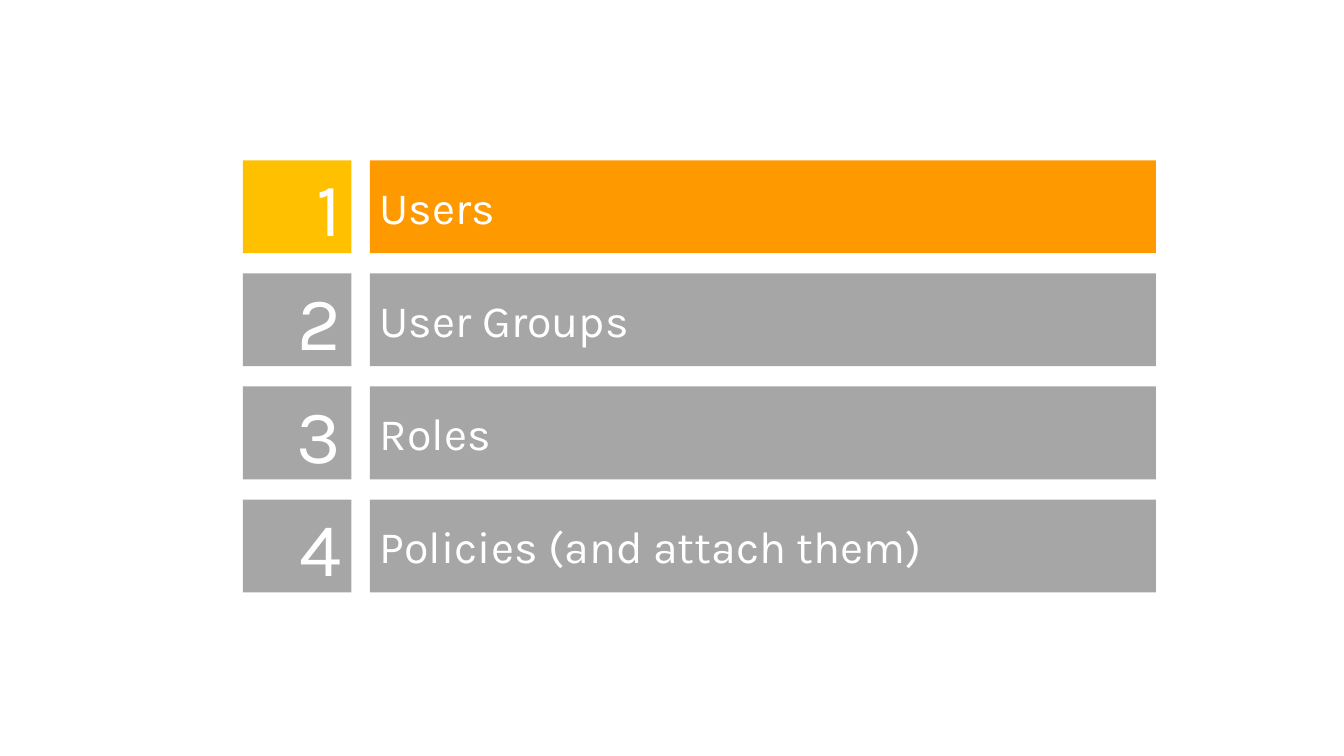
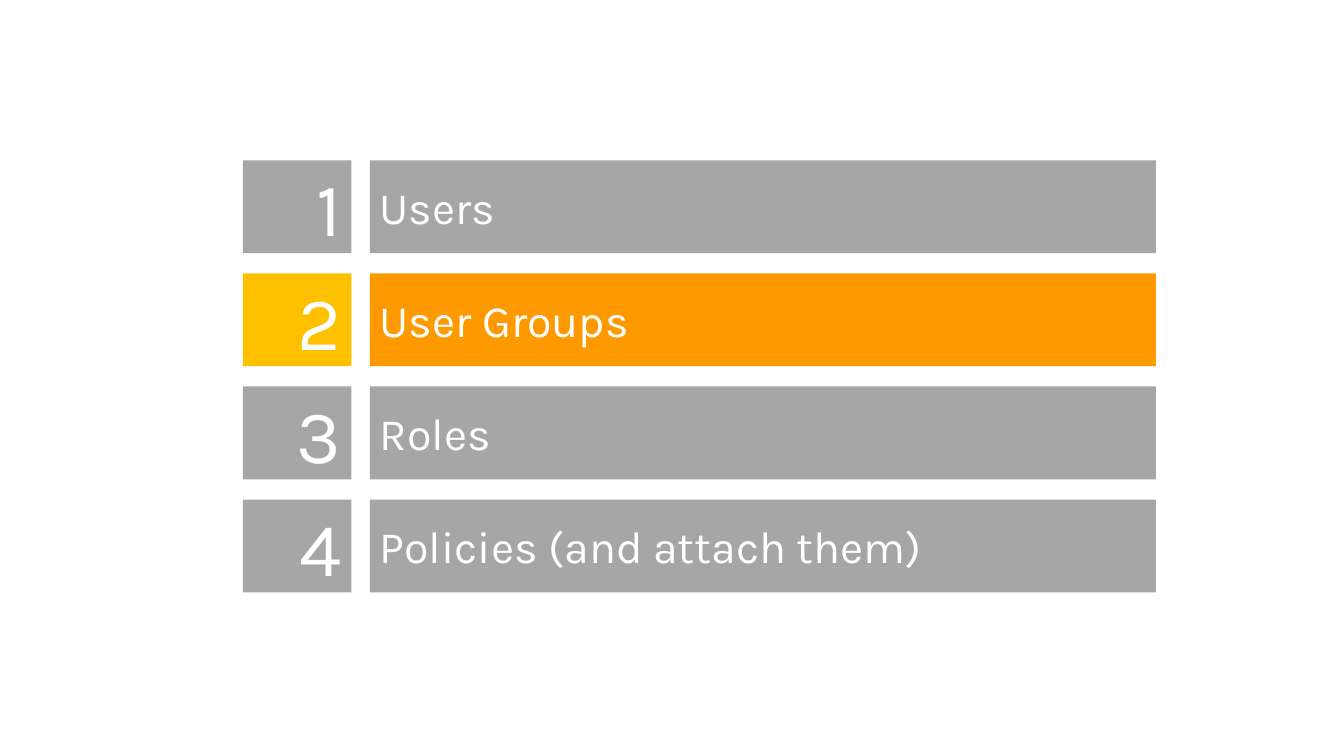
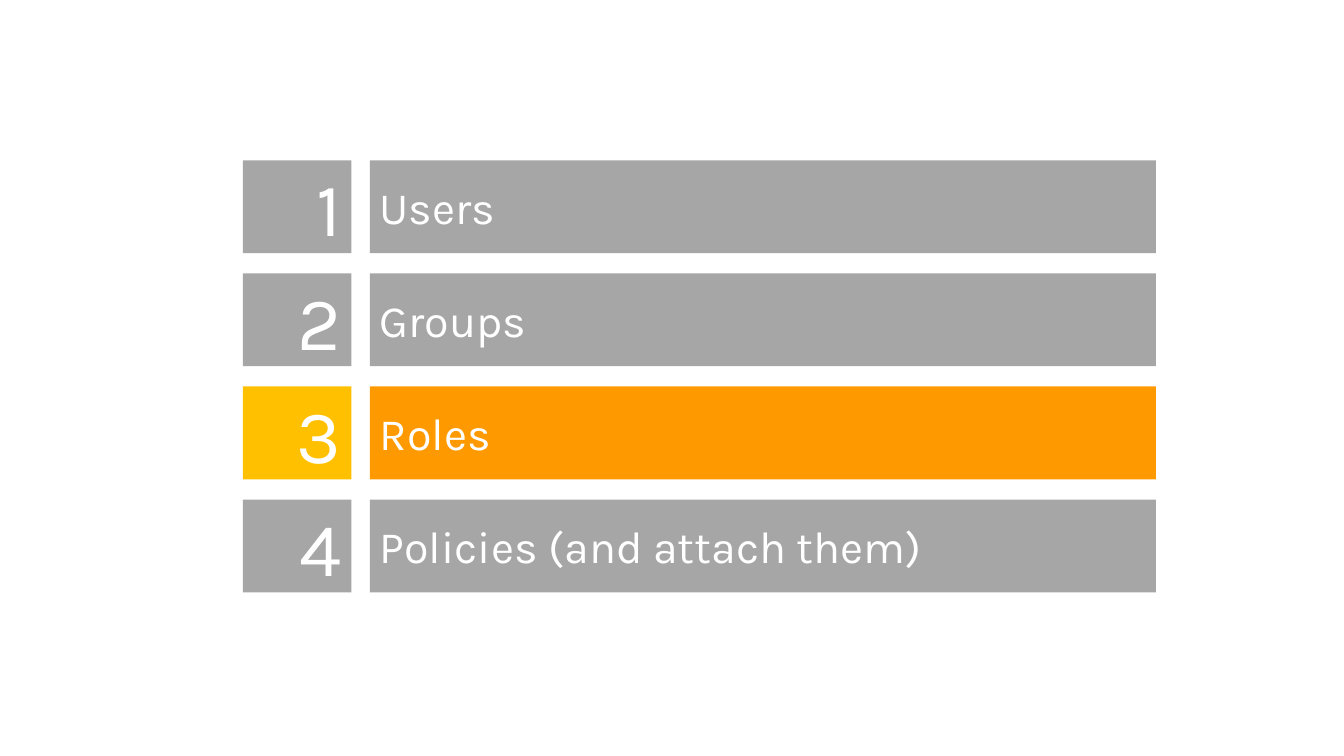
from dataclasses import dataclass

import pptx
import pptx.dml.color
import pptx.enum.shapes
import pptx.enum.text
import pptx.util

Cm = pptx.util.Cm
Align = pptx.enum.text.PP_ALIGN


@dataclass(frozen=True)
class Theme:
    font: str = "Karla"
    text: str = "FFFFFF"
    idle: str = "A6A6A6"
    gold: str = "FFC000"
    orange: str = "FF9900"
    large: int = 54
    small: int = 32


@dataclass(frozen=True)
class Column:
    left: float
    width: float
    accent: str
    size: int
    align: Align


@dataclass(frozen=True)
class Agenda:
    topics: tuple[str, ...]
    current: int


THEME = Theme()
NUMBER = Column(6.12, 2.74, THEME.gold, THEME.large, Align.RIGHT)
TOPIC = Column(9.32, 19.81, THEME.orange, THEME.small, Align.LEFT)
TOP, HEIGHT, PITCH = 4.04, 2.34, 2.85

ROLES, POLICY = "Roles", "Policies (and attach them)"
FULL = ("Users", "User Groups", ROLES, POLICY)
SHORT = ("Users", "Groups", ROLES, POLICY)
AGENDAS = (Agenda(FULL, 1), Agenda(FULL, 2), Agenda(SHORT, 3))


def color(code: str) -> pptx.dml.color.RGBColor:
    return pptx.dml.color.RGBColor.from_string(code)


def write(shape, text: str, *, size: int, align: Align,
          ink: str = THEME.text, font: str = THEME.font) -> None:
    frame = shape.text_frame
    frame.word_wrap = True
    frame.vertical_anchor = pptx.enum.text.MSO_ANCHOR.MIDDLE
    line = frame.paragraphs[0]
    line.alignment = align
    run = line.add_run()
    run.text = text
    run.font.name = font
    run.font.size = pptx.util.Pt(size)
    run.font.color.rgb = color(ink)


def draw_cell(slide, col: Column, row: int, text: str, active: bool) -> None:
    cell = slide.shapes.add_shape(
        pptx.enum.shapes.MSO_SHAPE.RECTANGLE,
        Cm(col.left), Cm(TOP + row * PITCH), Cm(col.width), Cm(HEIGHT))
    cell.shadow.inherit = False
    cell.fill.solid()
    cell.fill.fore_color.rgb = color(col.accent if active else THEME.idle)
    cell.line.fill.background()
    write(cell, text, size=col.size, align=col.align)


def draw_slide(deck, agenda: Agenda) -> None:
    slide = deck.slides.add_slide(deck.slide_layouts[6])
    for row, topic in enumerate(agenda.topics):
        number = row + 1
        active = number == agenda.current
        draw_cell(slide, NUMBER, row, str(number), active)
        draw_cell(slide, TOPIC, row, topic, active)


def main() -> None:
    deck = pptx.Presentation()
    deck.slide_width, deck.slide_height = Cm(33.87), Cm(19.05)
    for agenda in AGENDAS:
        draw_slide(deck, agenda)
    deck.save("out.pptx")


if __name__ == "__main__":
    main()
